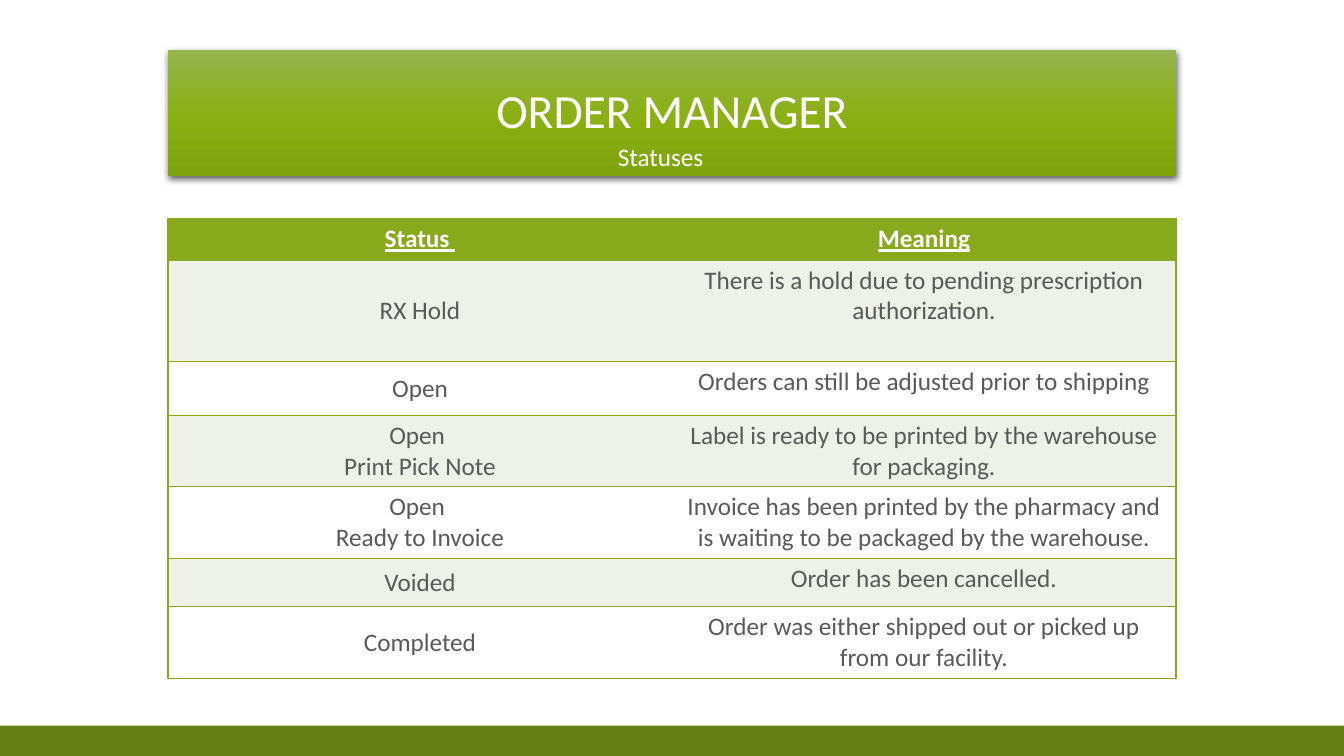
from dataclasses import dataclass
from lxml import etree
from pptx import Presentation
from pptx.dml.color import RGBColor
from pptx.enum.shapes import MSO_SHAPE
from pptx.enum.text import MSO_ANCHOR, PP_ALIGN
from pptx.oxml import parse_xml
from pptx.oxml.ns import nsdecls, qn
from pptx.util import Inches, Pt

RECTANGLE = MSO_SHAPE.RECTANGLE
CENTER, LEFT = PP_ALIGN.CENTER, PP_ALIGN.LEFT
TOP, MIDDLE = MSO_ANCHOR.TOP, MSO_ANCHOR.MIDDLE

HEADING = "ORDER MANAGER"
SUBHEADING = "Statuses"
HEADER = ("Status ", "Meaning")
STATUSES = [
    ("RX Hold", "There is a hold due to pending prescription authorization.", 1.01),
    ("Open", "Orders can still be adjusted prior to shipping", 0.53),
    ("Open \nPrint Pick Note", "Label is ready to be printed by the warehouse for packaging.", 0.71),
    ("Open \nReady to Invoice",
     "Invoice has been printed by the pharmacy and is waiting to be packaged by the warehouse.", 0.71),
    ("Voided", "Order has been cancelled.", 0.48),
    ("Completed", "Order was either shipped out or picked up from our facility.", 0.71),
]
HEADER_HEIGHT = 0.41


@dataclass(frozen=True)
class Theme:
    font: str = "Calibri"
    heading_size: int = 34
    text_size: int = 18
    white: str = "FFFFFF"
    text: str = "595959"
    green: str = "87A91B"
    footer: str = "657F14"
    band: str = "EDF1E8"
    gradient: tuple = ((0, "95B54E"), (50, "8BB014"), (100, "7FA30B"))


THEME = Theme()
WIDTH, HEIGHT = Inches(13.33), Inches(7.5)
MARGIN, CONTENT_WIDTH = WIDTH // 8, WIDTH * 3 // 4


def style_text(frame, size, color, align, bold=False, underline=False):
    for paragraph in frame.paragraphs:
        paragraph.alignment = align
        for run in paragraph.runs:
            run.font.name = THEME.font
            run.font.size = Pt(size)
            run.font.bold = bold
            run.font.underline = underline
            run.font.color.rgb = RGBColor.from_string(color)


def set_borders(cell, inner_side):
    properties = cell._tc.get_or_add_tcPr()
    for side in ("lnL", "lnR", "lnT", "lnB"):
        line = etree.SubElement(properties, qn(f"a:{side}"), w=str(Pt(1)))
        if side == inner_side:
            etree.SubElement(line, qn("a:noFill"))
        else:
            solid = etree.SubElement(line, qn("a:solidFill"))
            etree.SubElement(solid, qn("a:srgbClr"), val=THEME.green)


def add_footer(slide):
    footer = slide.shapes.add_shape(RECTANGLE, 0, HEIGHT * 24 // 25, WIDTH, HEIGHT // 25)
    footer.shadow.inherit = False
    footer.fill.solid()
    footer.fill.fore_color.rgb = RGBColor.from_string(THEME.footer)
    footer.line.fill.background()


def add_heading(slide):
    heading = slide.shapes.title
    heading.left, heading.top = MARGIN, HEIGHT // 15
    heading.width, heading.height = CONTENT_WIDTH, HEIGHT // 6
    heading.text_frame.text = HEADING
    heading.text_frame.vertical_anchor = MIDDLE
    heading.text_frame.paragraphs[0].line_spacing = 0.9
    style_text(heading.text_frame, THEME.heading_size, THEME.white, CENTER)
    stops = "".join(
        f'<a:gs pos="{share * 1000}"><a:srgbClr val="{color}"/></a:gs>'
        for share, color in THEME.gradient
    )
    properties = heading._element.spPr
    properties.append(parse_xml(
        f'<a:gradFill {nsdecls("a")} rotWithShape="1"><a:gsLst>{stops}</a:gsLst>'
        '<a:lin ang="5400000" scaled="0"/></a:gradFill>'
    ))
    properties.append(parse_xml(
        f'<a:effectLst {nsdecls("a")}><a:outerShdw blurRad="{Pt(4.5)}" dist="{Pt(1.5)}" '
        'dir="5400000" rotWithShape="0"><a:srgbClr val="000000"><a:alpha val="63000"/>'
        '</a:srgbClr></a:outerShdw></a:effectLst>'
    ))


def add_subheading(slide):
    subheading = slide.shapes.add_textbox(Inches(6.03), Inches(1.35), Inches(3.18), Inches(0.4))
    subheading.text_frame.word_wrap = True
    subheading.text_frame.text = SUBHEADING
    style_text(subheading.text_frame, THEME.text_size, THEME.white, LEFT)


def add_status_table(slide):
    rows = [(*HEADER, HEADER_HEIGHT), *STATUSES]
    total_height = Inches(sum(height for *_, height in rows))
    table = slide.shapes.add_table(
        len(rows), len(HEADER), MARGIN, Inches(2.17), CONTENT_WIDTH, total_height
    ).table
    table.first_row = table.horz_banding = False
    for row, (status, meaning, height) in enumerate(rows):
        table.rows[row].height = Inches(height)
        is_header = row == 0
        fill = THEME.green if is_header else THEME.band if row % 2 else THEME.white
        for column, content in enumerate((status, meaning)):
            cell = table.cell(row, column)
            cell.text_frame.text = content
            cell.vertical_anchor = TOP if is_header or column else MIDDLE
            style_text(cell.text_frame, THEME.text_size,
                       THEME.white if is_header else THEME.text,
                       CENTER, bold=is_header, underline=is_header)
            set_borders(cell, "lnL" if column else "lnR")
            cell.fill.solid()
            cell.fill.fore_color.rgb = RGBColor.from_string(fill)


def main():
    presentation = Presentation()
    presentation.slide_width, presentation.slide_height = WIDTH, HEIGHT
    slide = presentation.slides.add_slide(presentation.slide_layouts[5])
    add_footer(slide)
    add_heading(slide)
    add_status_table(slide)
    add_subheading(slide)
    presentation.save("out.pptx")


if __name__ == "__main__":
    main()
